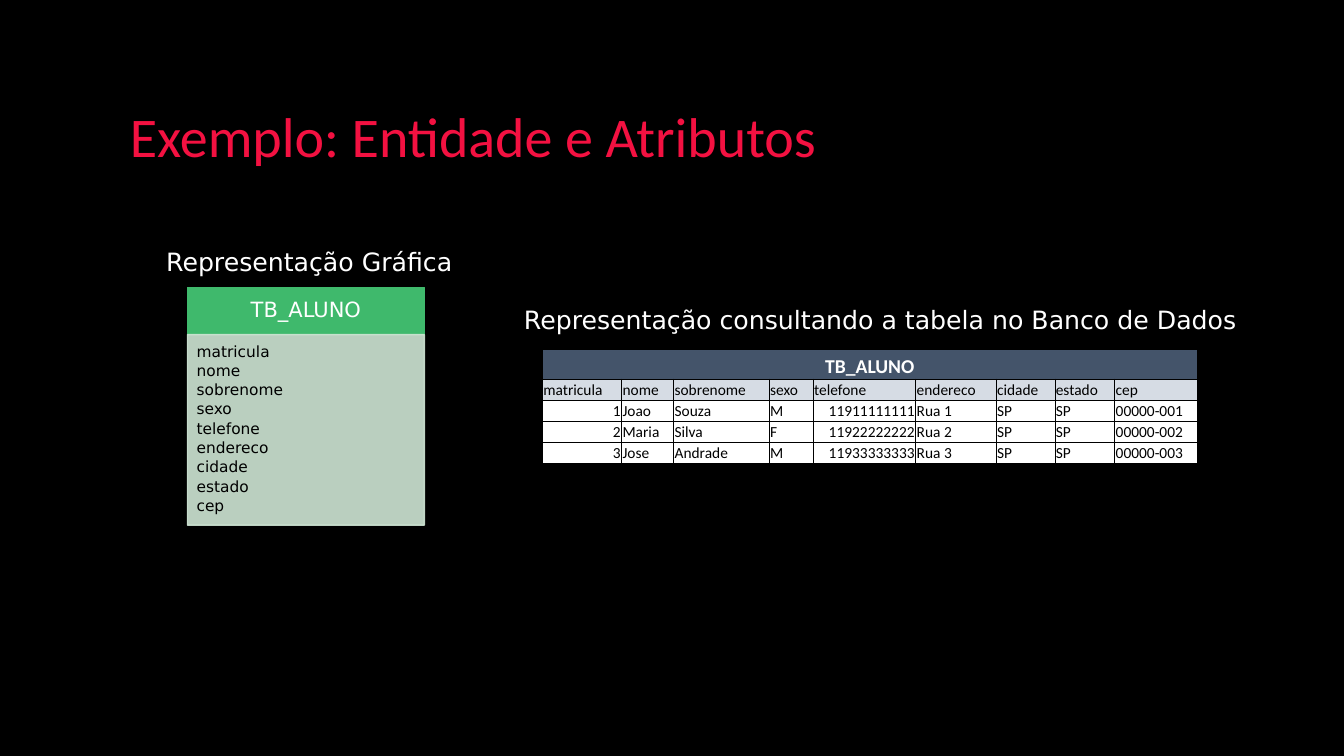
import pptx
import pptx.dml.color
import pptx.enum.shapes
import pptx.enum.text
import pptx.oxml
import pptx.oxml.ns
import pptx.util
from lxml import etree

Pt = pptx.util.Pt
ALIGN = pptx.enum.text.PP_ALIGN
ANCHOR = pptx.enum.text.MSO_ANCHOR
COLORS = {
    "black": "000000", "white": "FFFFFF", "title": "F31141",
    "card_head": "3FB96C", "card_body": "CFE6D4",
    "table_head": "44546A", "column_head": "D6DCE4",
}


def color(name):
    return pptx.dml.color.RGBColor.from_string(COLORS[name])


def write(text_frame, text, font, size, color_name, align=ALIGN.LEFT,
          bold=False, line_spacing=1.0, space_after=0):
    text_frame.text = text
    for paragraph in text_frame.paragraphs:
        paragraph.alignment = align
        paragraph.line_spacing = line_spacing
        paragraph.space_after = Pt(space_after)
        for run in paragraph.runs:
            run.font.name = font
            run.font.size = Pt(size)
            run.font.bold = bold
            run.font.color.rgb = color(color_name)


presentation = pptx.Presentation()
presentation.slide_width, presentation.slide_height = Pt(960), Pt(540)
slide = presentation.slides.add_slide(presentation.slide_layouts[6])
slide.background.fill.solid()
slide.background.fill.fore_color.rgb = color("black")

# Title and captions
for text, box, font, size, color_name, spacing in [
    ("Exemplo: Entidade e Atributos", (85.7, 74.2, 603.4, 53.3), "Calibri", 40, "title", 0.9),
    ("Representação Gráfica", (111.6, 172.1, 255.6, 28.8), "DejaVu Sans", 18, "white", 1.0),
    ("Representação consultando a tabela no Banco de Dados",
     (367.2, 213.8, 542.2, 28.8), "DejaVu Sans", 18, "white", 1.0),
]:
    shape = slide.shapes.add_textbox(*map(Pt, box))
    shape.text_frame.word_wrap = True
    write(shape.text_frame, text, font, size, color_name, line_spacing=spacing)

# Entity card: heading above its list of attributes
columns = ["matricula", "nome", "sobrenome", "sexo", "telefone",
           "endereco", "cidade", "estado", "cep"]
for text, top, height, fill, size, text_color, align, anchor, insets, gap, opacity in [
    ("TB_ALUNO", 205.2, 33.8, "card_head", 15, "white", ALIGN.CENTER, ANCHOR.MIDDLE,
     (8.6, 5, 8.6, 5), 0, 100),
    ("\n".join(columns), 239, 136.1, "card_body", 11, "black", ALIGN.LEFT, ANCHOR.TOP,
     (6.5, 6.5, 8.6, 9.4), 1.9, 90),
]:
    shape = slide.shapes.add_shape(pptx.enum.shapes.MSO_SHAPE.RECTANGLE,
                                   Pt(133.9), Pt(top), Pt(169.2), Pt(height))
    shape.shadow.inherit = False
    shape.fill.solid()
    shape.fill.fore_color.rgb = color(fill)
    shape.line.color.rgb = color(fill)
    shape.line.width = Pt(1)
    if opacity < 100:
        for rgb in shape.element.spPr.iter(pptx.oxml.ns.qn("a:srgbClr")):
            etree.SubElement(rgb, pptx.oxml.ns.qn("a:alpha"), val=str(opacity * 1000))
    frame = shape.text_frame
    frame.word_wrap = True
    frame.vertical_anchor = anchor
    frame.margin_left, frame.margin_top, frame.margin_right, frame.margin_bottom = map(Pt, insets)
    write(frame, text, "DejaVu Sans", size, text_color, align, line_spacing=0.9, space_after=gap)

# Database table
rows = [
    ["TB_ALUNO"] + [""] * 8,
    columns,
    ["1", "Joao", "Souza", "M", "11911111111", "Rua 1", "SP", "SP", "00000-001"],
    ["2", "Maria", "Silva", "F", "11922222222", "Rua 2", "SP", "SP", "00000-002"],
    ["3", "Jose", "Andrade", "M", "11933333333", "Rua 3", "SP", "SP", "00000-003"],
]
row_fills = ["table_head", "column_head", "white", "white", "white"]
column_widths = [56.6, 37.2, 68.2, 31.5, 73.3, 57.4, 42, 42.8, 59]
table = slide.shapes.add_table(len(rows), len(columns), Pt(387.4), Pt(249.8),
                               Pt(468), Pt(80.9)).table
for column, width in zip(table.columns, column_widths):
    column.width = Pt(width)
for row_index, values in enumerate(rows):
    table.rows[row_index].height = Pt(15 if row_index else 20.9)
    for column_index, value in enumerate(values):
        cell = table.cell(row_index, column_index)
        cell.margin_left = cell.margin_right = cell.margin_top = Pt(0.7)
        cell.margin_bottom = Pt(0)
        cell.vertical_anchor = ANCHOR.BOTTOM
        if row_index == 0:
            write(cell.text_frame, value, "Calibri", 14, "white", ALIGN.CENTER, bold=True)
        else:
            numeric = row_index > 1 and value.isdigit()
            write(cell.text_frame, value, "Calibri", 11, "black",
                  ALIGN.RIGHT if numeric else ALIGN.LEFT)
        # Borders go before the fill in the cell properties
        properties = cell._tc.get_or_add_tcPr()
        for side in ("lnL", "lnR", "lnT", "lnB"):
            properties.append(pptx.oxml.parse_xml(
                f'<a:{side} {pptx.oxml.ns.nsdecls("a")} w="{Pt(0.5)}"><a:solidFill>'
                f'<a:srgbClr val="{COLORS["black"]}"/></a:solidFill></a:{side}>'))
        cell.fill.solid()
        cell.fill.fore_color.rgb = color(row_fills[row_index])
table.cell(0, 0).merge(table.cell(0, len(columns) - 1))

presentation.save("out.pptx")
